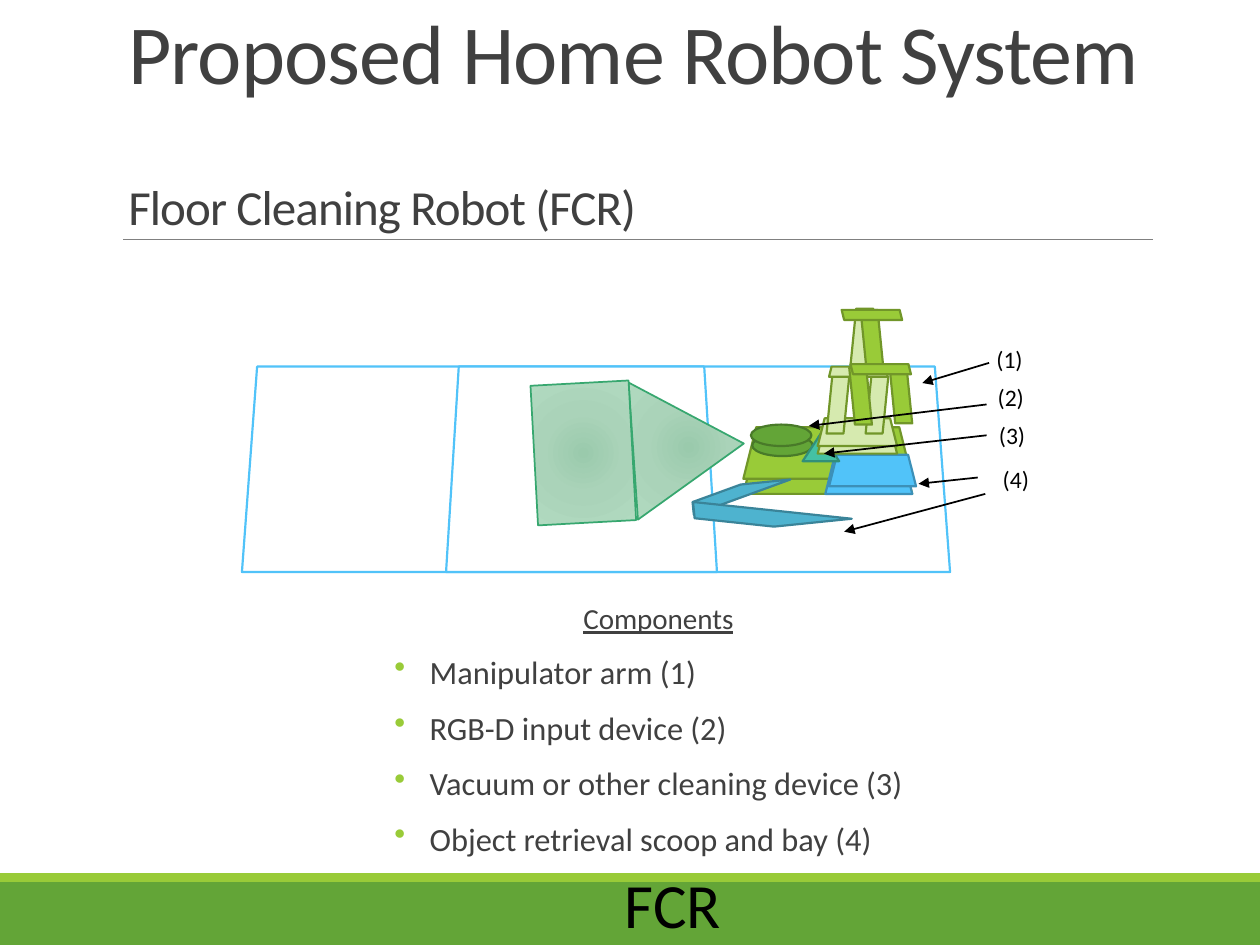
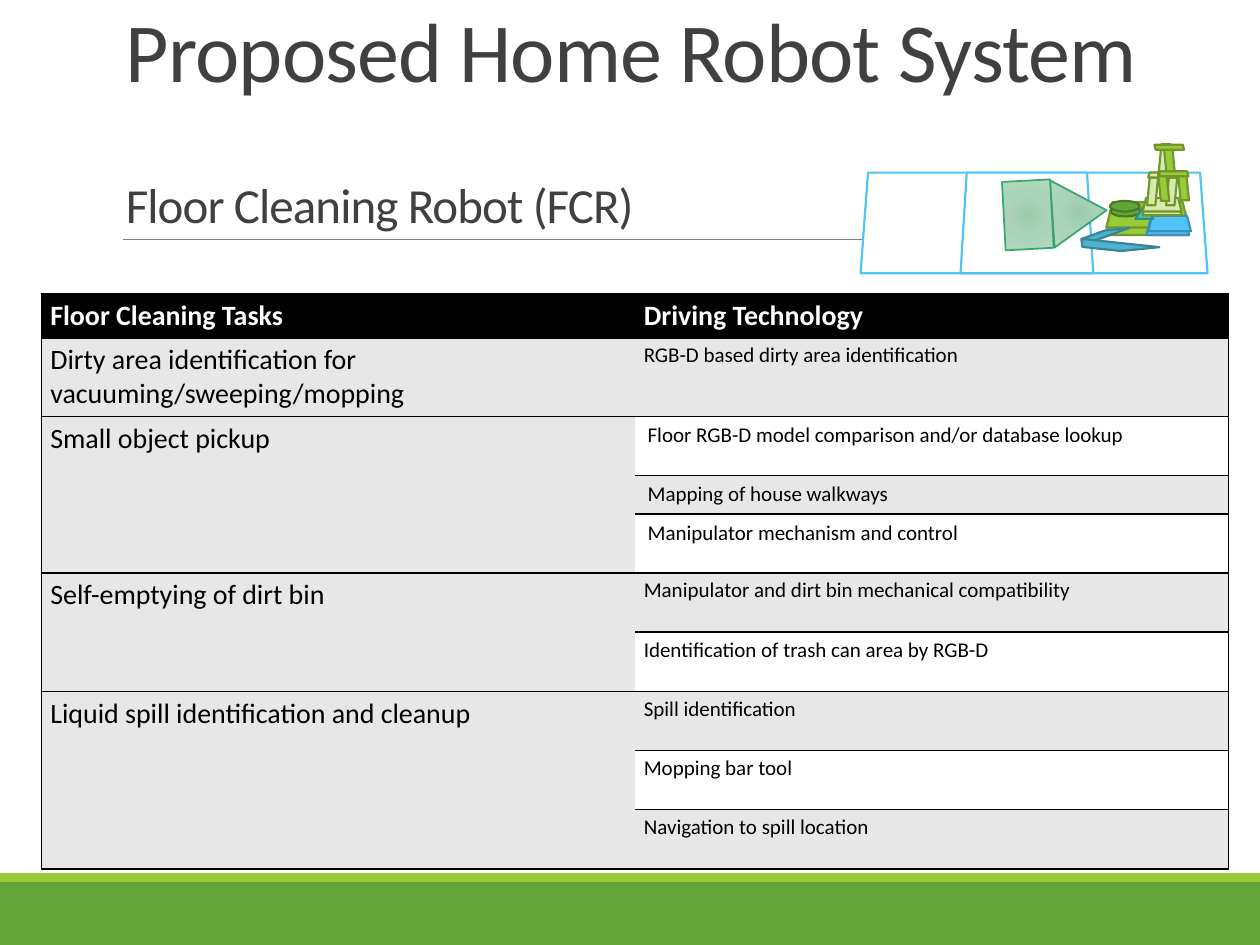
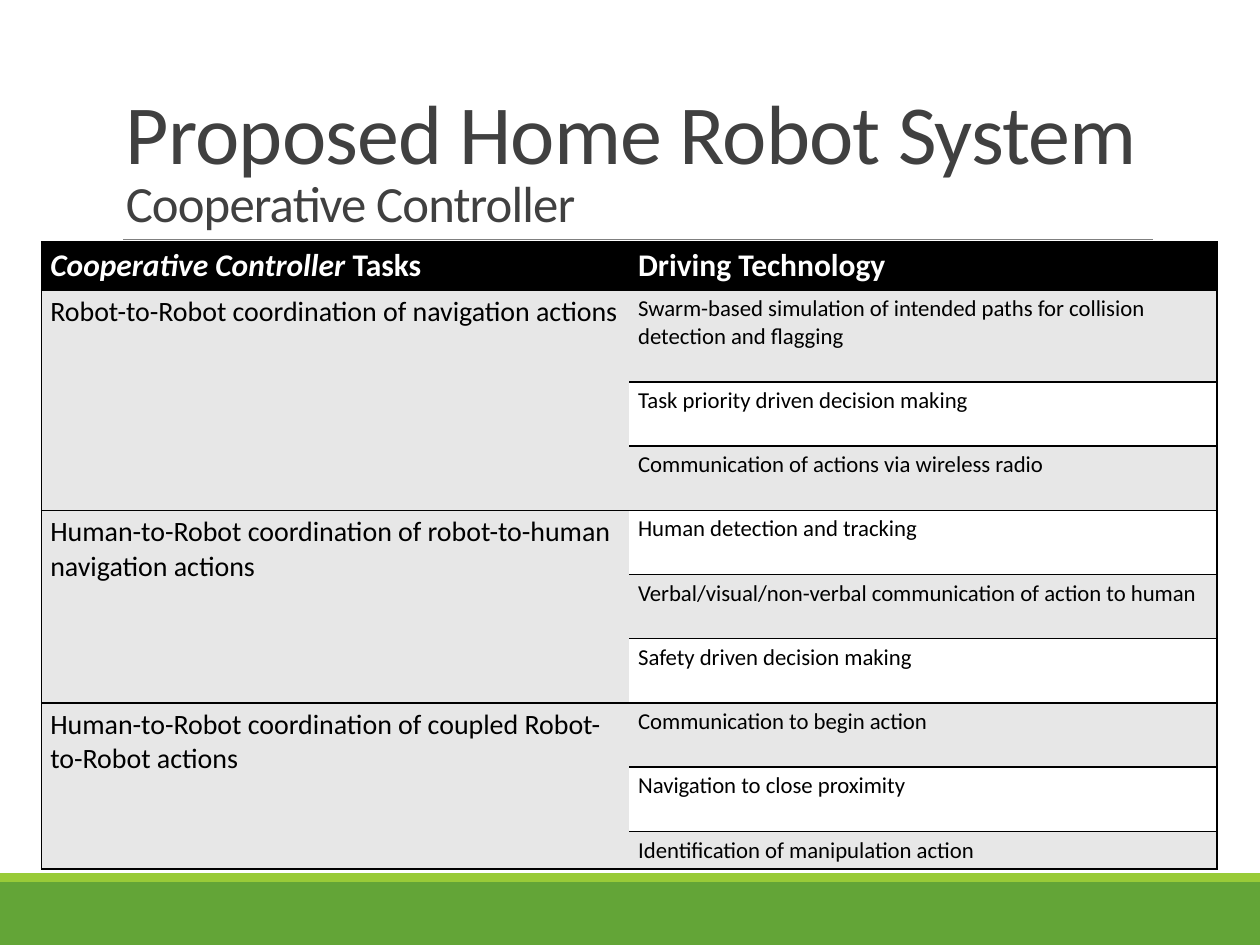
from dataclasses import dataclass

from lxml import etree
from pptx import Presentation
from pptx.dml.color import RGBColor
from pptx.enum import shapes, text
from pptx.oxml import ns
from pptx.util import Emu, Inches, Pt

COLUMNS, ROWS = 100, 75
KIND = shapes.MSO_SHAPE
NO_STYLE = "{2D5ABB26-0587-4C30-8999-92F81FD0307C}"


@dataclass(frozen=True)
class Theme:
    font: str = "Calibri"
    ink: str = "404040"
    black: str = "000000"
    white: str = "FFFFFF"
    stripe: str = "E7E7E7"
    rule: str = "808080"
    band: str = "63A537"
    accent: str = "99CB38"
    title: float = 48
    subtitle: float = 28
    label: float = 13.5
    heading: float = 16.6
    bullet: float = 18.5
    tag: float = 36
    task: float = 16
    outline: float = 1.25
    hairline: float = 1


THEME = Theme()

PAINTS = {
    "floor": ("FFFFFF", "51C3F9"),
    "body": ("99CB38", "719629"),
    "pale": ("D6EAAF", "719629"),
    "scoop": ("4EB3CF", "3A8499"),
    "bay": ("51C3F9", "3C90B8"),
    "camera": ("63A537", "497A29"),
    "vacuum": ("44C1A3", "328F79"),
    "view": (((0, "9ACAAC"), (45, "AAD3B9"), (100, "B1DAC0")), "37A76F"),
}

ROBOT_ORIGIN = (19.2, 29.1)
ROBOT_PARTS = [
    (KIND.TRAPEZOID, "floor", (19.2, 29.1, 56.2, 16.3), {"adjust": 0.074}),
    (KIND.TRAPEZOID, "floor", (35.4, 29.1, 21.5, 16.3), {"adjust": 0.062}),
    (KIND.TRAPEZOID, "body", (59, 35.1, 13.4, 4.1), {}),
    (KIND.TRAPEZOID, "body", (59, 33.9, 13.4, 4.1), {}),
    (KIND.DIAGONAL_STRIPE, "scoop", (57.9, 35.5, 2, 7.9), {"turn": 264.2, "flip": "flipH"}),
    (KIND.DIAGONAL_STRIPE, "scoop", (60, 34.3, 2.6, 12.4), {"turn": 264.2}),
    (KIND.TRAPEZOID, "bay", (65.5, 36.7, 6.9, 2.5), {}),
    (KIND.TRAPEZOID, "bay", (65.8, 36.1, 6.9, 2.5), {}),
    (KIND.OVAL, "camera", (59.7, 34.5, 4.8, 1.7), {}),
    (KIND.OVAL, "camera", (59.6, 33.7, 4.8, 1.7), {}),
    (KIND.ISOSCELES_TRIANGLE, "vacuum", (63.7, 34.4, 2.9, 2.2), {}),
    (KIND.ISOSCELES_TRIANGLE, "view", (49.2, 31.1, 10.9, 8.8), {"turn": 86.1}),
    (KIND.RECTANGLE, "view", (42.4, 30.4, 7.8, 11.1), {"turn": 356.9}),
    (KIND.TRAPEZOID, "pale", (64.9, 33.8, 6.3, 2.2), {}),
    (KIND.TRAPEZOID, "pale", (64.9, 33.2, 6.3, 2.2), {}),
]
LIMB, JOINT = (1.8, 4.5), (4.8, 0.8)
ARM_PARTS = [
    ("pale", (65.6, 29.9), LIMB), ("pale", (68.7, 29.9), LIMB),
    ("pale", (67.5, 24.5), LIMB), ("pale", (65.8, 29.1), JOINT),
    ("body", (67.4, 29.2), LIMB), ("body", (70.6, 29.1), LIMB),
    ("body", (68.3, 24.6), LIMB), ("body", (67.5, 28.9), JOINT),
    ("body", (66.8, 24.6), JOINT),
]
ROBOT_PARTS += [
    (KIND.PARALLELOGRAM, paint, place + size, {"flip": "flipV"} if paint == "body" else {})
    for paint, place, size in ARM_PARTS
]

CALLOUTS = [
    ("(1)", (78.1, 26.9, 6.1, 3.3), [((78.5, 28.8), (73.2, 30.4))], False),
    ("(2)", (78.2, 29.9, 5.4, 3.3), [((78.3, 32.1), (64.2, 33.8))], False),
    ("(3)", (78.3, 32.9, 6.7, 3.3), [((78.3, 34.4), (65.4, 36))], True),
    ("(4)", (78.6, 36.4, 6.8, 3.3), [((77.6, 37.9), (72.9, 38.4)), ((78.2, 39.2), (67, 42.2))], False),
]

COMPONENTS = [
    "Manipulator arm (1)",
    "RGB-D input device (2)",
    "Vacuum or other cleaning device (3)",
    "Object retrieval scoop and bay (4)",
]

CLEANING_TASKS = [
    ("Dirty area identification for vacuuming/sweeping/mopping",
     ["RGB-D based dirty area identification"]),
    ("Small object pickup",
     ["Floor RGB-D model comparison and/or database lookup",
      "Mapping of house walkways", "Manipulator mechanism and control"]),
    ("Self-emptying of dirt bin",
     ["Manipulator and dirt bin mechanical compatibility",
      "Identification of trash can area by RGB-D"]),
    ("Liquid spill identification and cleanup",
     ["Spill identification", "Mopping bar tool", "Navigation to spill location"]),
]

CONTROLLER_TASKS = [
    ("Robot-to-Robot coordination of navigation actions",
     ["Swarm-based simulation of intended paths for collision detection and flagging",
      "Task priority driven decision making", "Communication of actions via wireless radio"]),
    ("Human-to-Robot coordination of robot-to-human navigation actions",
     ["Human detection and tracking",
      "Verbal/visual/non-verbal communication of action to human",
      "Safety driven decision making"]),
    ("Human-to-Robot coordination of coupled Robot-to-Robot actions",
     ["Communication to begin action", "Navigation to close proximity",
      "Identification of manipulation action"]),
]


def assign(target, values):
    for name, value in values.items():
        setattr(target, name, value)


def add_xml(parent, tag, **attributes):
    return etree.SubElement(parent, ns.qn(tag), attributes)


def add_solid(parent, color):
    add_xml(add_xml(parent, "a:solidFill"), "a:srgbClr", val=color)


class Painter:
    def __init__(self, deck, theme):
        self.deck, self.theme, self.page = deck, theme, None
        self.column = deck.slide_width / COLUMNS
        self.row = deck.slide_height / ROWS

    def across(self, columns):
        return Emu(round(columns * self.column))

    def down(self, rows):
        return Emu(round(rows * self.row))

    def frame(self, area):
        left, top, width, height = area
        return self.across(left), self.down(top), self.across(width), self.down(height)

    def new_page(self):
        self.page = self.deck.slides.add_slide(self.deck.slide_layouts[6])
        self.shape(KIND.RECTANGLE, (0, 70, COLUMNS, 5), self.theme.band)
        self.shape(KIND.RECTANGLE, (0, 69.3, COLUMNS, 0.7), self.theme.accent)
        self.line((9.8, 19), (91.5, 19), self.theme.rule, 0.5)

    def shape(self, kind, area, fill, outline=None, width=THEME.outline, turn=0, flip=None, adjust=None):
        shape = self.page.shapes.add_shape(kind, *self.frame(area))
        shape.shadow.inherit = False
        shape.rotation = turn
        if adjust is not None:
            shape.adjustments[0] = adjust
        if flip:
            shape.element.spPr.xfrm.set(flip, "1")
        if isinstance(fill, str):
            shape.fill.solid()
            shape.fill.fore_color.rgb = RGBColor.from_string(fill)
        else:
            self.radial_fill(shape, fill)
        if outline:
            shape.line.color.rgb = RGBColor.from_string(outline)
            shape.line.width = Pt(width)
        else:
            shape.line.fill.background()
        return shape

    def radial_fill(self, shape, stops):
        gradient = etree.Element(ns.qn("a:gradFill"), rotWithShape="1")
        stop_list = add_xml(gradient, "a:gsLst")
        for share, color in stops:
            stop = add_xml(stop_list, "a:gs", pos=str(share * 1000))
            add_xml(stop, "a:srgbClr", val=color)
        circle = add_xml(gradient, "a:path", path="circle")
        add_xml(circle, "a:fillToRect", **dict.fromkeys("ltrb", "100000"))
        shape.element.spPr.find(ns.qn("a:prstGeom")).addnext(gradient)

    def line(self, start, end, color, width, arrow=False):
        line = self.page.shapes.add_connector(
            shapes.MSO_CONNECTOR.STRAIGHT,
            self.across(start[0]), self.down(start[1]), self.across(end[0]), self.down(end[1]))
        line.line.color.rgb = RGBColor.from_string(color)
        line.line.width = Pt(width)
        if arrow:
            add_xml(line.line._get_or_add_ln(), "a:tailEnd", type="triangle")
        add_xml(line.element.spPr, "a:effectLst")
        return line

    def span(self, para, words, size, color, tracking=None, **style):
        span = para.add_run()
        span.text = words
        assign(span.font, {"name": self.theme.font, "size": Pt(size), **style})
        span.font.color.rgb = RGBColor.from_string(color)
        if tracking:
            span._r.get_or_add_rPr().set("spc", str(tracking))

    def box(self, area, **settings):
        box = self.page.shapes.add_textbox(*self.frame(area))
        assign(box.text_frame, {"word_wrap": True, **settings})
        return box

    def label(self, words, area, size):
        box = self.box(area, auto_size=text.MSO_AUTO_SIZE.SHAPE_TO_FIT_TEXT)
        self.span(box.text_frame.paragraphs[0], words, size, self.theme.black)
        return box

    def title(self, subtitle, area, size=THEME.subtitle, gap=0):
        frame = self.box(area, vertical_anchor=text.MSO_ANCHOR.BOTTOM).text_frame
        heading, second = frame.paragraphs[0], frame.add_paragraph()
        heading.line_spacing = second.line_spacing = 0.85
        second.space_before = Pt(gap)
        self.span(heading, "Proposed Home Robot System", self.theme.title, self.theme.ink, -50)
        self.span(second, subtitle, size, self.theme.ink, -50)

    def bullets(self, heading, items, area):
        frame = self.box(area, margin_left=0, margin_right=0).text_frame
        para = frame.paragraphs[0]
        assign(para, {"alignment": text.PP_ALIGN.CENTER, "line_spacing": 0.8, "space_after": Pt(2)})
        self.span(para, heading, self.theme.heading, self.theme.ink, underline=True)
        indent = Inches(0.28)
        for item in items:
            para = frame.add_paragraph()
            layout = para._p.get_or_add_pPr()
            layout.set("marL", str(indent))
            layout.set("indent", str(-indent))
            add_xml(add_xml(layout, "a:buClr"), "a:srgbClr", val=self.theme.accent)
            add_xml(layout, "a:buChar", char="•")
            assign(para, {"line_spacing": 0.8, "space_before": Pt(12), "space_after": Pt(2)})
            self.span(para, item, self.theme.bullet, self.theme.ink)

    def robot(self, origin=ROBOT_ORIGIN, scale=1):
        for kind, paint, (left, top, width, height), extra in ROBOT_PARTS:
            area = (origin[0] + (left - ROBOT_ORIGIN[0]) * scale,
                    origin[1] + (top - ROBOT_ORIGIN[1]) * scale,
                    width * scale, height * scale)
            fill, outline = PAINTS[paint]
            weight = self.theme.hairline if paint == "view" else self.theme.outline
            self.shape(kind, area, fill, outline, weight, **extra)

    def callouts(self):
        for words, area, arrows, joined in CALLOUTS:
            box = self.label(words, area, self.theme.label)
            for start, end in arrows:
                arrow = self.line(start, end, self.theme.black, self.theme.hairline, True)
                if joined:
                    arrow.begin_connect(box, 1)

    def cell(self, cell, runs, size, fill, color, column, inset=(0.07, 0.04), bold=False):
        across, down = map(Inches, inset)
        assign(cell, {"margin_left": across, "margin_right": across,
                      "margin_top": down, "margin_bottom": down})
        for words, style in runs:
            self.span(cell.text_frame.paragraphs[0], words, size, color, bold=bold, **style)
        settings = cell._tc.get_or_add_tcPr()
        for side in ("lnL", "lnR", "lnT", "lnB"):
            edge = add_xml(settings, "a:" + side, w=str(Pt(self.theme.hairline)))
            if side == ("lnR", "lnL")[column]:
                add_xml(edge, "a:noFill")
            else:
                add_solid(edge, self.theme.black)
        cell.fill.solid()
        cell.fill.fore_color.rgb = RGBColor.from_string(fill)

    def task_table(self, area, heights, heads, groups, head_size, detail_size, roomy=()):
        theme = self.theme
        holder = self.page.shapes.add_table(len(heights), 2, *self.frame(area))
        table = holder.table
        assign(table, {"first_row": False, "horz_banding": False})
        next(holder.element.iter(ns.qn("a:tableStyleId"))).text = NO_STYLE
        for row, height in zip(table.rows, heights):
            row.height = self.down(height)
        for column, runs in enumerate(heads):
            self.cell(table.cell(0, column), runs, head_size, theme.black, theme.white, column, bold=True)
        row = 1
        for task, details in groups:
            first = table.cell(row, 0)
            if len(details) > 1:
                first.merge(table.cell(row + len(details) - 1, 0))
            self.cell(first, [(task, {})], theme.task, theme.stripe, theme.black, 0)
            for detail in details:
                fill = theme.stripe if row % 2 else theme.white
                inset = (0.1, 0.05) if row in roomy else (0.07, 0.04)
                self.cell(table.cell(row, 1), [(detail, {})], detail_size, fill, theme.black, 1, inset)
                row += 1


def main():
    deck = Presentation()
    assign(deck, {"slide_width": Inches(10), "slide_height": Inches(7.5)})
    painter = Painter(deck, THEME)
    title_area = (9, 3.1, 82.5, 15.9)
    technology = [("Driving Technology", {})]

    painter.new_page()
    painter.bullets("Components", COMPONENTS, (31.3, 47.7, 41.9, 22.8))
    painter.robot()
    painter.callouts()
    painter.title("Floor Cleaning Robot (FCR)", (9.2, 3.3, 82.5, 15.9), gap=48)
    painter.label("FCR", (48.6, 68.2, 32.5, 7.1), THEME.tag)

    painter.new_page()
    painter.robot((68.3, 13.7), 0.49)
    painter.task_table(
        (3.3, 23.3, 94.2, 45.2), [2.5, 4.5, 4.7, 2.8] + [4.7] * 6,
        [[("Floor Cleaning Tasks", {})], technology], CLEANING_TASKS, 16, 12, roomy=(2, 3, 4))
    painter.title("Floor Cleaning Robot (FCR)", title_area, gap=48)

    painter.new_page()
    painter.title("Cooperative Controller", title_area, size=29)
    painter.task_table(
        (3.3, 19.2, 93.3, 49.6), [3.5, 7.3] + [5.1] * 7 + [2.3],
        [[("Cooperative Controller ", {"italic": True}), ("Tasks", {})], technology],
        CONTROLLER_TASKS, 18, 13)

    deck.save("out.pptx")


if __name__ == "__main__":
    main()
